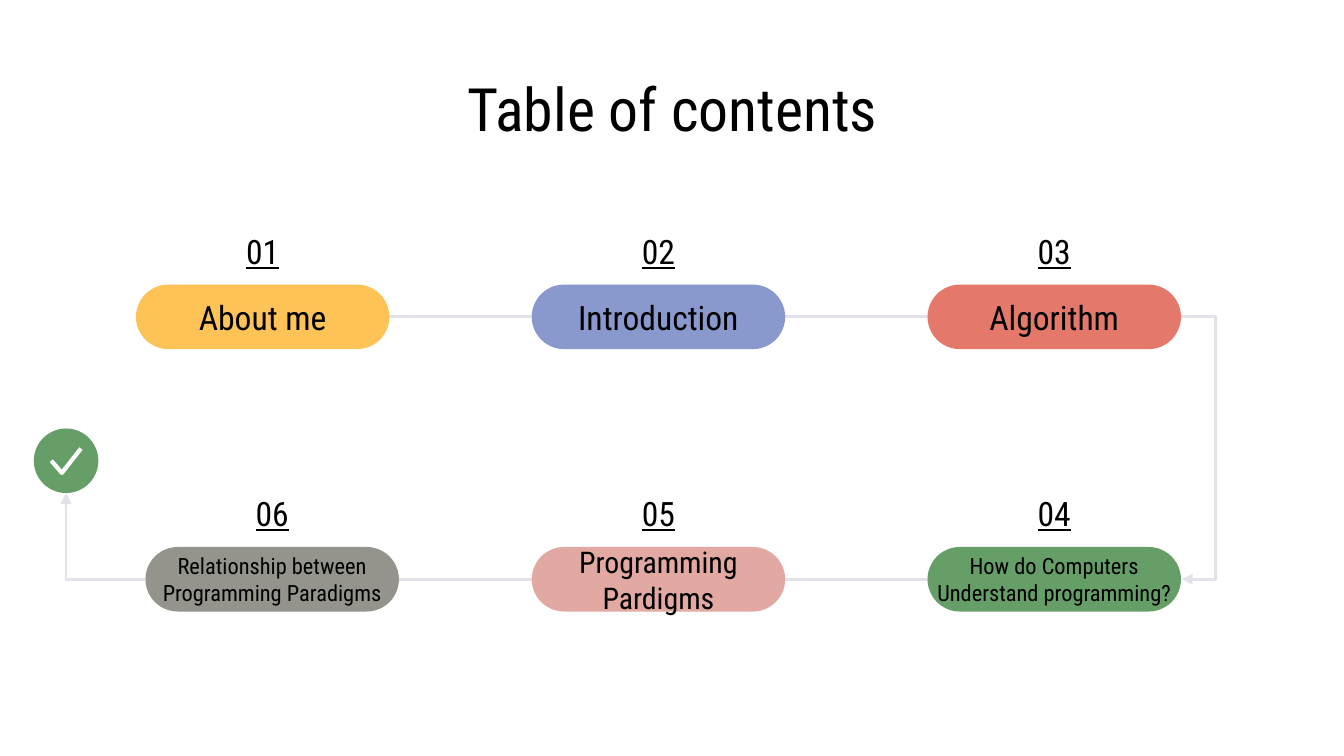
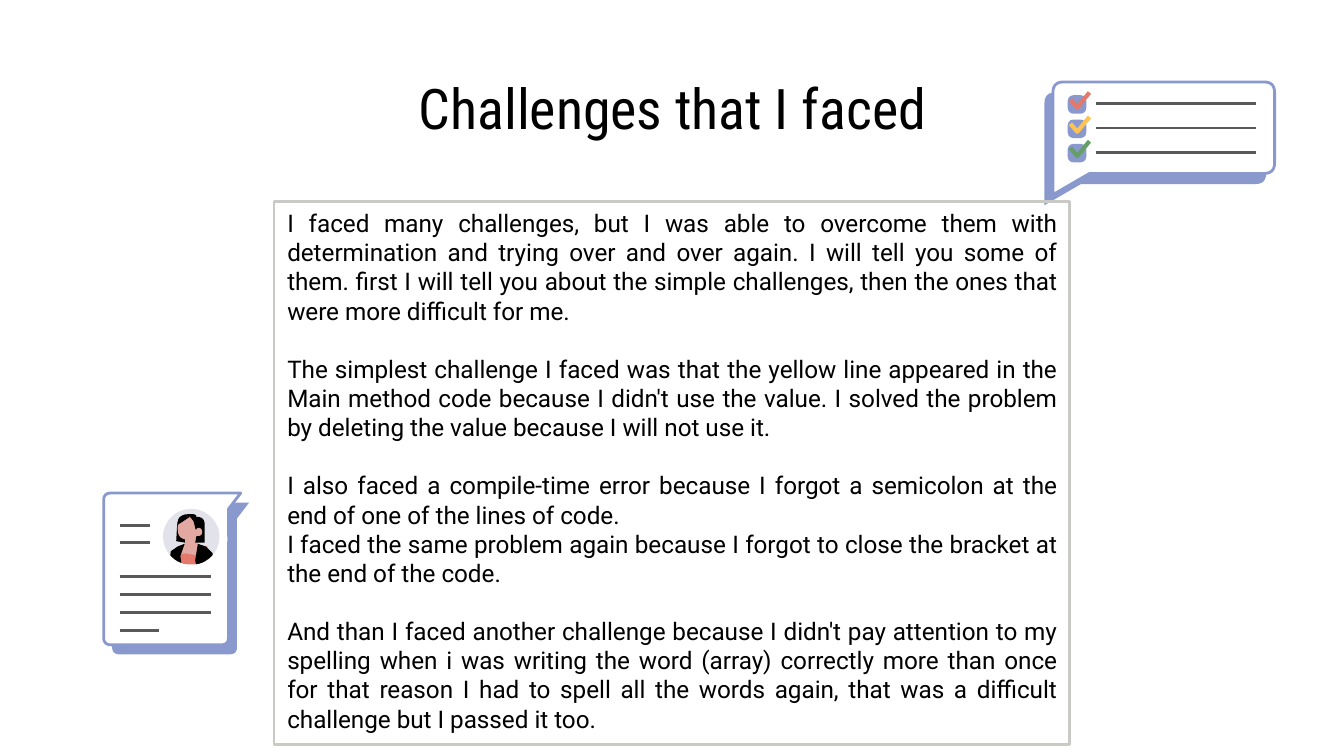
import lxml.etree
import pptx
import pptx.dml.color
import pptx.enum.shapes
import pptx.enum.text
import pptx.oxml.ns
import pptx.util

Cm = pptx.util.Cm
Pt = pptx.util.Pt
RGBColor = pptx.dml.color.RGBColor
SHAPE = pptx.enum.shapes.MSO_SHAPE
CONNECTOR = pptx.enum.shapes.MSO_CONNECTOR
ALIGN = pptx.enum.text.PP_ALIGN
ANCHOR = pptx.enum.text.MSO_ANCHOR
qn = pptx.oxml.ns.qn

BLACK = RGBColor(0x00, 0x00, 0x00)
WHITE = RGBColor(0xFF, 0xFF, 0xFF)
PALE = RGBColor(0xE1, 0xE2, 0xEA)
FRAME = RGBColor(0xC9, 0xC9, 0xC6)
DARK_GREY = RGBColor(0x59, 0x59, 0x59)
GREY = RGBColor(0x94, 0x94, 0x8D)
YELLOW = RGBColor(0xFE, 0xC3, 0x57)
BLUE = RGBColor(0x89, 0x99, 0xCE)
RED = RGBColor(0xE4, 0x79, 0x6B)
PINK = RGBColor(0xE2, 0xA8, 0xA2)
GREEN = RGBColor(0x65, 0x9E, 0x67)

HEADING_FONT = "Roboto Condensed"
BODY_FONT = "Roboto"
TITLE_BOX = (2.01, 1.5, 21.41, 1.07)
PILL_W, PILL_H = 4.79, 1.22
NUMBER_W, NUMBER_H = 1.5, 1.27

# label paragraphs, size, colour, column, row, shift to the right
TOPICS = [
    (["About me"], 18, YELLOW, 0, 0, 0),
    (["Introduction"], 18, BLUE, 1, 0, 0),
    (["Algorithm"], 18, RED, 2, 0, 0),
    (["How do Computers Understand programming?"], 12, GREEN, 2, 1, 0),
    (["Programming", "Pardigms"], 16, PINK, 1, 1, 0),
    (["Relationship between\nProgramming Paradigms"], 12, GREY, 0, 1, 0.18),
]

# text, and whether a gap comes before it
CHALLENGES = [
    ("I faced many challenges, but I was able to overcome them with determination and "
     "trying over and over again. I will tell you some of them. first I will tell you about "
     "the simple challenges, then the ones that were more difficult for me.", False),
    ("The simplest challenge I faced was that the yellow line appeared in the Main method "
     "code because I didn't use the value. I solved the problem by deleting the value "
     "because I will not use it.", True),
    ("I also faced a compile-time error because I forgot a semicolon at the end of one of "
     "the lines of code.", True),
    ("I faced the same problem again because I forgot to close the bracket at the end of "
     "the code.", False),
    ("And than I faced another challenge because I didn't pay attention to my spelling when "
     "i was writing the word (array) correctly more than once for that reason I had to spell "
     "all the words again, that was a difficult challenge but I passed it too.", True),
]

# colour and corners (x, y, optional radius) from the top left of the portrait disc
PORTRAIT = [
    (RED, [(0.43, 0.66), (0.71, 0.69), (0.84, 0.71), (0.79, 1.35), (0.33, 1.35),
           (0.33, 1.07), (0.23, 0.84), (0.28, 0.71)]),
    (PINK, [(0.53, 0.64), (0.81, 0.71), (0.71, 0.89), (0.43, 0.84), (0.3, 0.86), (0.28, 0.71)]),
    (BLACK, [(0.28, 0.1, 0.2), (0.66, 0.1, 0.1), (0.43, 0.64), (0.25, 0.61)]),
    (PINK, [(0.41, 0.48), (0.66, 0.48), (0.66, 0.74), (0.41, 0.74)]),
    (PINK, [(0.28, 0.15, 0.19), (0.67, 0.15, 0.19), (0.67, 0.58, 0.19), (0.28, 0.58, 0.19)]),
    (BLACK, [(0.56, 0.15), (0.79, 0.15, 0.15), (0.79, 0.64), (0.61, 0.64), (0.64, 0.48)]),
    (PINK, [(0.58, 0.43), (0.66, 0.36), (0.74, 0.36, 0.07), (0.74, 0.51, 0.07), (0.61, 0.51)]),
    (BLACK, [(0.66, 0.66), (0.81, 0.71), (0.94, 0.84), (0.97, 1.22), (0.38, 1.17), (0.1, 1.14),
             (0.15, 0.8), (0.28, 0.71), (0.41, 0.66), (0.33, 0.89), (0.36, 1.12),
             (0.64, 1.14), (0.61, 0.97)]),
    (BLACK, [(0.28, 0.3), (0.3, 0.13, 0.1), (0.51, 0.15)]),
    (BLACK, [(0.51, 0.15), (0.64, 0.15, 0.1), (0.64, 0.3)]),
]


def write(shape, paragraphs, *, size, font=HEADING_FONT, align=ALIGN.CENTER,
          anchor=ANCHOR.MIDDLE, inset=(0.25, 0.25), underline=None, gaps=()):
    """Fill a shape with text; gaps gives the space before each paragraph in points."""
    frame = shape.text_frame
    frame.word_wrap = True
    frame.vertical_anchor = anchor
    frame.margin_left = frame.margin_right = Cm(inset[0])
    frame.margin_top = frame.margin_bottom = Cm(inset[1])
    for index, text in enumerate(paragraphs):
        paragraph = frame.paragraphs[0] if index == 0 else frame.add_paragraph()
        paragraph.text = text
        paragraph.alignment = align
        if gaps:
            paragraph.space_before = Pt(gaps[index])
        for run in paragraph.runs:
            run.font.name = font
            run.font.size = Pt(size)
            run.font.color.rgb = BLACK
            run.font.underline = underline


def paint(shape, fill=None, line=None, width=1.5):
    shape.shadow.inherit = False
    if fill is None:
        shape.fill.background()
    else:
        shape.fill.solid()
        shape.fill.fore_color.rgb = fill
    if line is None:
        shape.line.fill.background()
    else:
        shape.line.color.rgb = line
        shape.line.width = Pt(width)
    return shape


def add_preset(shapes, preset, box, **colours):
    return paint(shapes.add_shape(preset, *map(Cm, box)), **colours)


def add_label(shapes, box, text, **text_format):
    write(shapes.add_textbox(*map(Cm, box)), [text], **text_format)


def connect(shapes, start, end, *, colour=PALE, arrow=False, kind=CONNECTOR.STRAIGHT):
    connector = shapes.add_connector(kind, *map(Cm, (*start, *end)))
    connector.line.color.rgb = colour
    connector.line.width = Pt(1.5)
    properties = connector.element.spPr
    if arrow:
        lxml.etree.SubElement(properties.find(qn("a:ln")), qn("a:tailEnd"), type="triangle")
    lxml.etree.SubElement(properties, qn("a:effectLst"))
    return properties.find(qn("a:prstGeom"))


def round_corners(corners, steps=6):
    """Turn (x, y, radius) corners into points, with a curve at each rounded corner."""
    points = []
    for index, (x, y, *radius) in enumerate(corners):
        if not radius:
            points.append((x, y))
            continue
        ends = []
        for near in (corners[index - 1], corners[(index + 1) % len(corners)]):
            dx, dy = near[0] - x, near[1] - y
            share = radius[0] / (dx * dx + dy * dy) ** 0.5
            ends.append((x + dx * share, y + dy * share))
        for step in range(steps + 1):
            t = step / steps
            points.append(tuple((1 - t) ** 2 * a + 2 * t * (1 - t) * corner + t * t * b
                                for a, corner, b in zip(ends[0], (x, y), ends[1])))
    return points


def add_outline(shapes, origin, corners, closed=True, **colours):
    points = [(Cm(origin[0] + x), Cm(origin[1] + y)) for x, y in round_corners(corners)]
    builder = shapes.build_freeform(*points[0])
    builder.add_line_segments(points[1:], close=closed)
    return paint(builder.convert_to_shape(), **colours)


def add_title(slide, text, size):
    add_label(slide.shapes, TITLE_BOX, text, size=size)


def add_topic(shapes, box, number, paragraphs, size, colour):
    left, top, width, _ = box
    pill = add_preset(shapes, SHAPE.ROUNDED_RECTANGLE, box, fill=colour)
    pill.adjustments[0] = 0.5
    write(pill, paragraphs, size=size, inset=(0, 0.25))
    number_box = (left + (width - NUMBER_W) / 2, top - NUMBER_H, NUMBER_W, NUMBER_H)
    add_label(shapes, number_box, f"{number:02}", size=18, underline=True)


def add_finish(shapes, box):
    left, top, _, _ = box
    add_preset(shapes, SHAPE.OVAL, box, fill=GREEN)
    add_outline(shapes, (left, top), [(0.33, 0.61), (0.53, 0.84), (0.89, 0.38)],
                closed=False, line=WHITE, width=2.25)


def add_roadmap(slide, box):
    """Place the topics on a route that runs right, turns down and runs back left."""
    shapes = slide.shapes
    left, top, width, height = box
    column_step, row_step = (width - PILL_W) / 2, height - PILL_H
    spots = [(left + column * column_step + shift, top + row * row_step)
             for *_, column, row, shift in TOPICS]
    finish = (left - 1.93, top + 2.72, PILL_H, PILL_H)
    middle = PILL_H / 2

    for (x, y), (next_x, next_y) in zip(spots, spots[1:]):
        if y != next_y:
            turn = connect(shapes, (x + PILL_W, y + middle),
                           (x + PILL_W + 0.01, next_y + middle),
                           arrow=True, kind=CONNECTOR.ELBOW)
            # The bend lies 66 connector widths (0.66 cm) to the right.
            lxml.etree.SubElement(turn.get_or_add_avLst(), qn("a:gd"),
                                  name="adj1", fmla="val 6600000")
        elif next_x > x:
            connect(shapes, (x + PILL_W, y + middle), (next_x, y + middle))
        else:
            connect(shapes, (x, y + middle), (next_x + PILL_W, y + middle))
    last_x, last_y = spots[-1]
    rise = connect(shapes, (last_x, last_y + middle), (finish[0] + middle, finish[1] + PILL_H),
                   arrow=True, kind=CONNECTOR.ELBOW)
    rise.set("prst", "bentConnector2")

    add_finish(shapes, finish)
    for number, (spot, topic) in enumerate(zip(spots, TOPICS), start=1):
        add_topic(shapes, (*spot, PILL_W, PILL_H), number, *topic[:3])


def add_bubble(shapes, origin, corners, shadow_shift):
    shadow = (origin[0] + shadow_shift[0], origin[1] + shadow_shift[1])
    add_outline(shapes, shadow, corners, fill=BLUE)
    add_outline(shapes, origin, corners, fill=WHITE, line=BLUE)


def add_checklist(slide, box):
    shapes = slide.shapes.add_group_shape().shapes
    left, top, width, height = box
    base = height - 0.4
    add_bubble(shapes, (left, top),
               [(0, 0, 0.2), (width, 0, 0.2), (width, base, 0.2), (0.69, base), (0, height)],
               (-0.16, 0.2))
    for row, colour in enumerate((RED, YELLOW, GREEN)):
        y = top + row * 0.46
        add_preset(shapes, SHAPE.ROUNDED_RECTANGLE, (left + 0.28, y + 0.25, 0.35, 0.35),
                   fill=BLUE).adjustments[0] = 0.3
        connect(shapes, (left + 0.81, y + 0.41), (left + width - 0.35, y + 0.41),
                colour=DARK_GREY)
        add_outline(shapes, (left, y), [(0.33, 0.33), (0.46, 0.48), (0.69, 0.2)],
                    closed=False, line=colour, width=2.25)


def add_portrait(shapes, box):
    left, top, width, height = box
    add_preset(shapes, SHAPE.OVAL, box, fill=PALE)
    for colour, corners in PORTRAIT:
        add_outline(shapes, (left, top), corners, fill=colour)
    # White parts trim the shoulders to the disc.
    rim = add_preset(shapes, SHAPE.BLOCK_ARC,
                     (left - 0.15, top - 0.16, width + 0.3, height + 0.3), fill=WHITE)
    rim.rotation = 180
    rim.adjustments[0], rim.adjustments[1], rim.adjustments[2] = 108.22, 0.1, 0.11
    add_preset(shapes, SHAPE.RECTANGLE, (left, top + 1.05, width, 0.56), fill=WHITE)


def add_profile(slide, box):
    shapes = slide.shapes.add_group_shape().shapes
    left, top, width, height = box
    side = width - 0.23
    add_bubble(shapes, (left, top),
               [(0, 0, 0.14), (width, 0), (side, 0.3), (side, height, 0.14), (0, height, 0.14)],
               (0.16, 0.18))
    add_portrait(shapes, (left + 1.12, top + 0.3, 1.07, 1.07))
    rows = [(0.61, 0.58), (0.94, 0.58), (1.58, 1.73), (1.92, 1.73), (2.26, 1.73), (2.6, 0.74)]
    for y, length in rows:
        connect(shapes, (left + 0.3, top + y), (left + 0.3 + length, top + y),
                colour=DARK_GREY)


def add_story(slide, box):
    frame = add_preset(slide.shapes, SHAPE.RECTANGLE, box, line=FRAME)
    write(frame, [text for text, _ in CHALLENGES], size=13, font=BODY_FONT,
          align=ALIGN.JUSTIFY, anchor=ANCHOR.TOP, inset=(0.25, 0.13),
          gaps=[15.6 if gap else 0 for _, gap in CHALLENGES])


def build_contents(slide):
    add_title(slide, "Table of contents", 32)
    add_roadmap(slide, (2.57, 5.38, 19.75, 6.18))


def build_challenges(slide):
    add_checklist(slide, (19.9, 1.55, 4.19, 2.13))
    add_title(slide, "Challenges that I faced", 30)
    add_story(slide, (5.18, 3.81, 15.04, 10.26))
    add_profile(slide, (1.96, 9.32, 2.59, 2.87))


def main():
    deck = pptx.Presentation()
    deck.slide_width, deck.slide_height = Cm(25.4), Cm(14.29)
    for build in (build_contents, build_challenges):
        build(deck.slides.add_slide(deck.slide_layouts[6]))
    deck.save("out.pptx")


if __name__ == "__main__":
    main()
